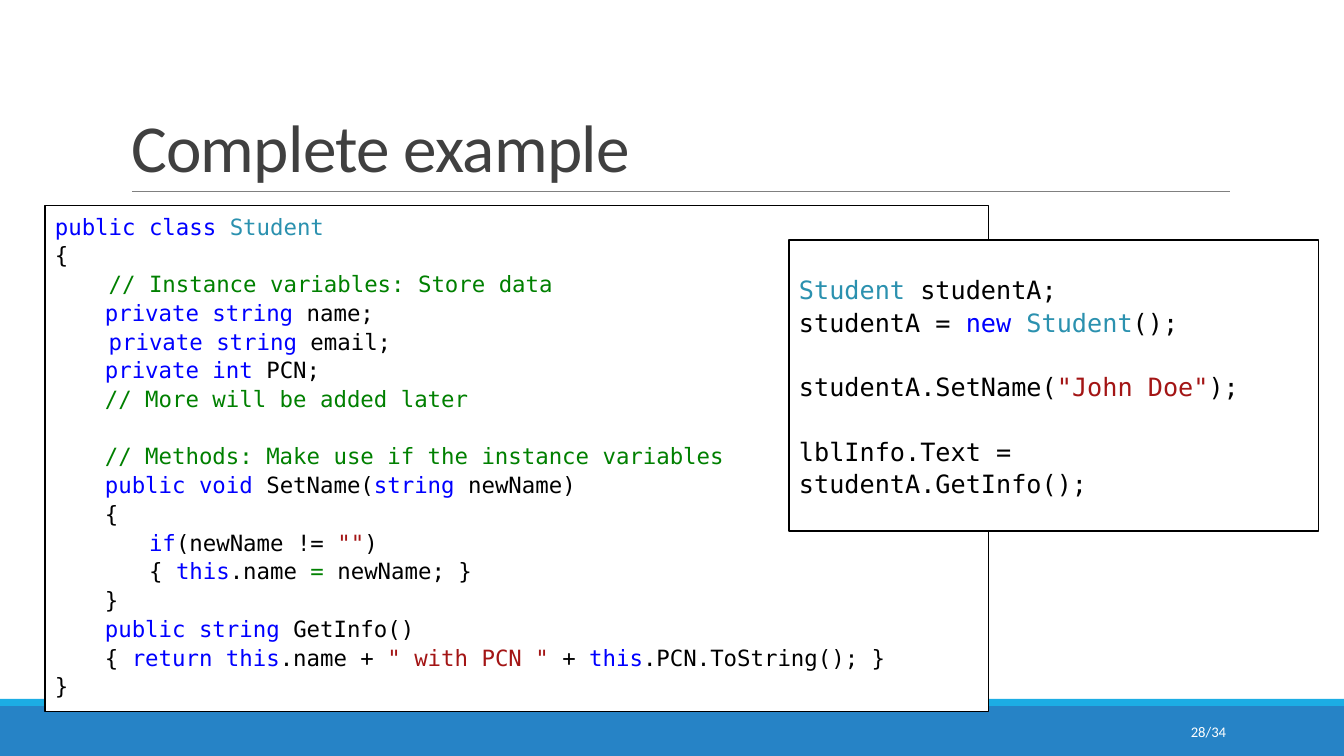
from lxml import etree
from pptx import Presentation
from pptx import util as u
from pptx.dml.color import RGBColor
from pptx.enum import shapes, text
from pptx.oxml import ns

PX = 914400 / 100.8
MONO, SANS = "DejaVu Sans Mono", "Calibri"
HUES = {
    "band": "2683C6", "strip": "1CADE4", "rule": "808080",
    "title": "404040", "white": "FFFFFF", "black": "000000",
    "k": "0000FF", "t": "2B91AF", "c": "008000", "s": "A31515", "p": "000000",
}
TAB = 50

CLASS = [
    (0, 0, "kpublic class |tStudent"),
    (0, 0, "p{"),
    (0, 0, "c    // Instance variables: Store data"),
    (1, 0, "kprivate string|p name;"),
    (0, 0, "k    private string|p email;"),
    (1, 0, "kprivate int|p PCN;"),
    (1, 0, "c// More will be added later"),
    (1, 1, "c// Methods: Make use if the instance variables"),
    (1, 0, "kpublic void |pSetName(|kstring|p newName)"),
    (1, 0, "p{"),
    (0, 0, "k       if|p(newName != |s\"\"|p)"),
    (0, 0, "p       { |kthis|p.name|c = |pnewName; }"),
    (1, 0, "p}"),
    (1, 0, "kpublic string |pGetInfo()"),
    (1, 0, "p{ |kreturn this|p.name + |s\" with PCN \"|p + |kthis|p.PCN.ToString(); }"),
    (0, 0, "p}"),
]
USAGE = [
    (0, 0, "tStudent |pstudentA;"),
    (0, 0, "pstudentA = |knew |tStudent|p();"),
    (0, 1, "pstudentA.SetName(|s\"John Doe\"|p);"),
    (0, 1, "plblInfo.Text = studentA.GetInfo();"),
]


def px(n):
    return u.Emu(round(n * PX))


def hue(key):
    return RGBColor.from_string(HUES[key])


def style(font, name, size, key):
    font.name, font.size = name, u.Pt(size)
    font.color.rgb = hue(key)


def rect(slide, box, fill, line=None):
    shape = slide.shapes.add_shape(
        shapes.MSO_SHAPE.RECTANGLE, *map(px, box))
    shape.shadow.inherit = False
    shape.fill.solid()
    shape.fill.fore_color.rgb = hue(fill)
    if line:
        shape.line.color.rgb = hue(line)
        shape.line.width = u.Pt(0.75)
    else:
        shape.line.fill.background()
    return shape


def head(slide, box):
    x, y, w, h = box
    rule = slide.shapes.add_connector(
        shapes.MSO_CONNECTOR.STRAIGHT,
        px(x + 11), px(y + h), px(x + w), px(y + h))
    rule.line.color.rgb = hue("rule")
    rule.line.width = u.Pt(0.5)
    etree.SubElement(rule._element.spPr, ns.qn("a:effectLst"))
    title = slide.shapes.title
    title.left, title.top, title.width, title.height = map(px, box)
    frame = title.text_frame
    frame.text = "Complete example"
    frame.vertical_anchor = text.MSO_ANCHOR.BOTTOM
    frame.auto_size = text.MSO_AUTO_SIZE.NONE
    para = frame.paragraphs[0]
    para.alignment = text.PP_ALIGN.LEFT
    para.line_spacing = 0.85
    run = para.runs[0]
    style(run.font, SANS, 48, "title")
    run._r.get_or_add_rPr().set("spc", "-50")


def code(slide, box, lines, size, anchor):
    frame = rect(slide, box, "white", "black").text_frame
    frame.word_wrap = True
    frame.vertical_anchor = anchor
    for i, (depth, gap, line) in enumerate(lines):
        para = frame.add_paragraph() if i else frame.paragraphs[0]
        para.alignment = text.PP_ALIGN.LEFT
        para.line_spacing = 1.07
        if gap:
            para.space_before = u.Pt(round(size * 1.28, 1))
        if depth:
            para._p.get_or_add_pPr().set("marL", str(px(depth * TAB)))
        for part in line.split("|"):
            run = para.add_run()
            run.text = part[1:]
            style(run.font, MONO, size, part[0])


def foot(slide, box):
    x, y, w, h = box
    rect(slide, (x, y + 7, w, h - 7), "band")
    rect(slide, (x, y, w, 7), "strip")


def page(slide, box):
    frame = slide.shapes.add_textbox(*map(px, box)).text_frame
    frame.word_wrap = True
    frame.text = "28/34"
    frame.vertical_anchor = text.MSO_ANCHOR.MIDDLE
    para = frame.paragraphs[0]
    para.alignment = text.PP_ALIGN.RIGHT
    style(para.runs[0].font, SANS, 10.5, "white")


def main():
    deck = Presentation()
    deck.slide_width, deck.slide_height = px(1344), px(756)
    slide = deck.slides.add_slide(deck.slide_layouts[5])
    foot(slide, (0, 699, 1344, 57))
    head(slide, (121, 31, 1109, 160))
    code(slide, (45, 206, 944, 506), CLASS, 16, text.MSO_ANCHOR.TOP)
    code(slide, (789, 240, 530, 291), USAGE, 18, text.MSO_ANCHOR.MIDDLE)
    page(slide, (1092, 712, 144, 40))
    deck.save("out.pptx")


if __name__ == "__main__":
    main()
